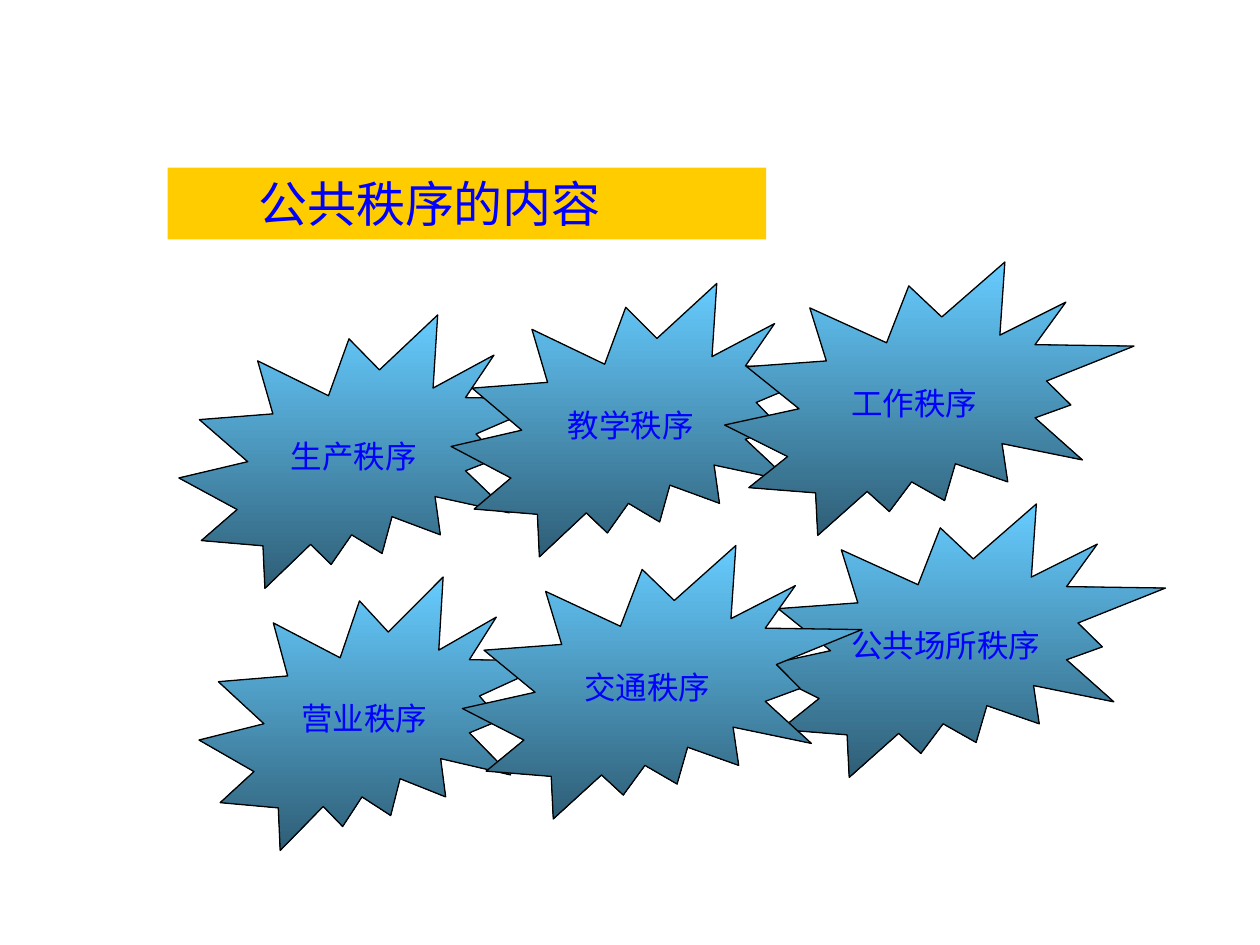
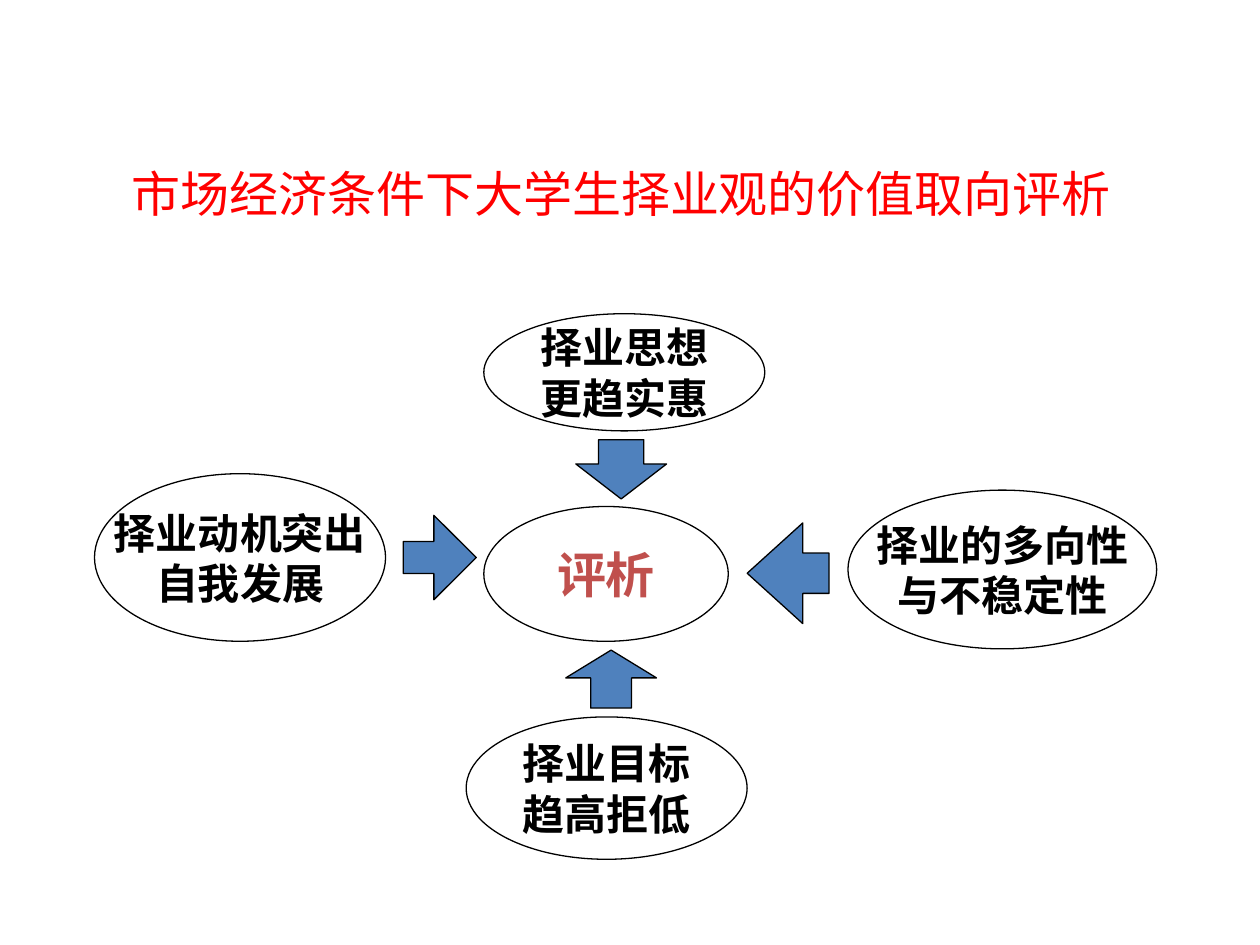
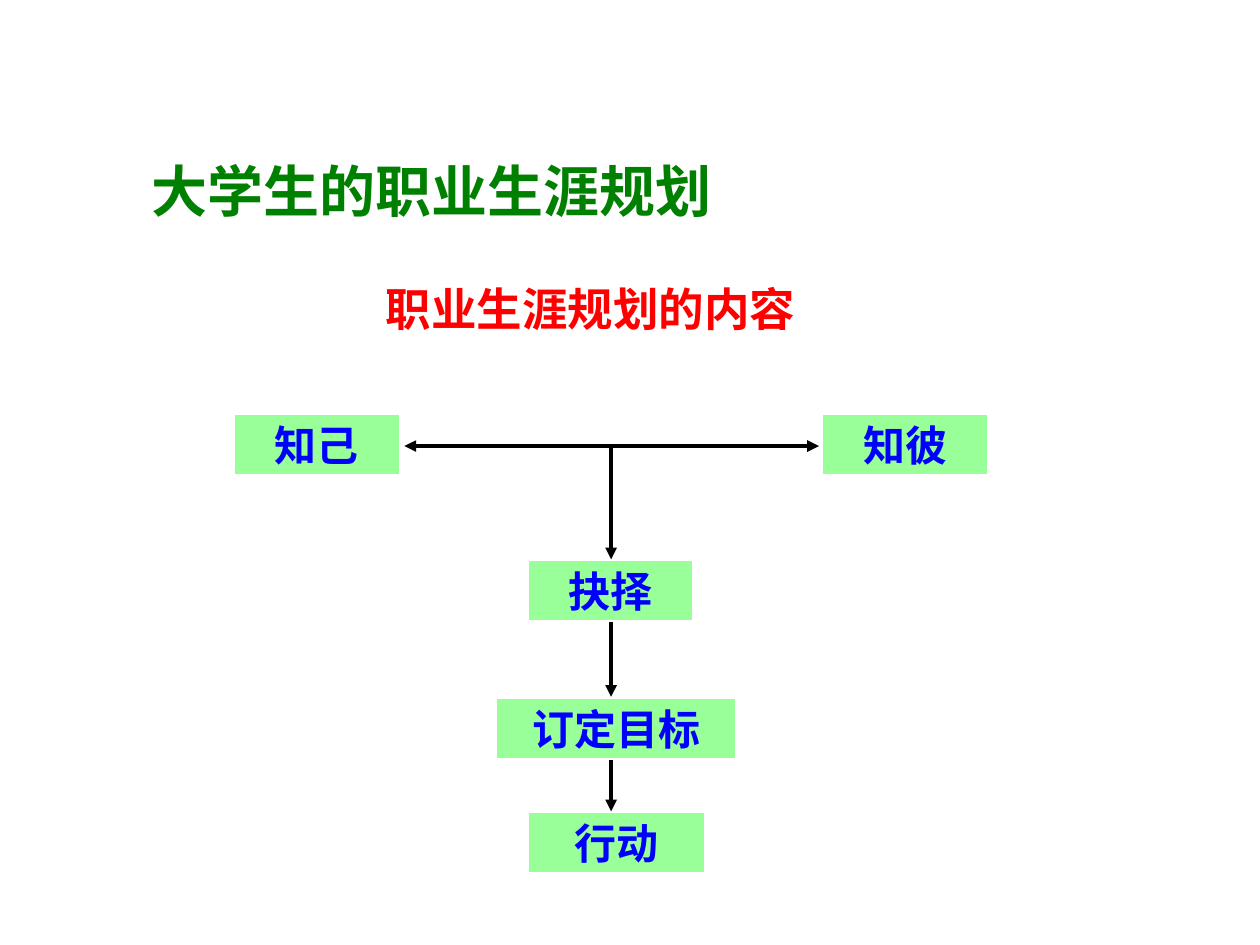
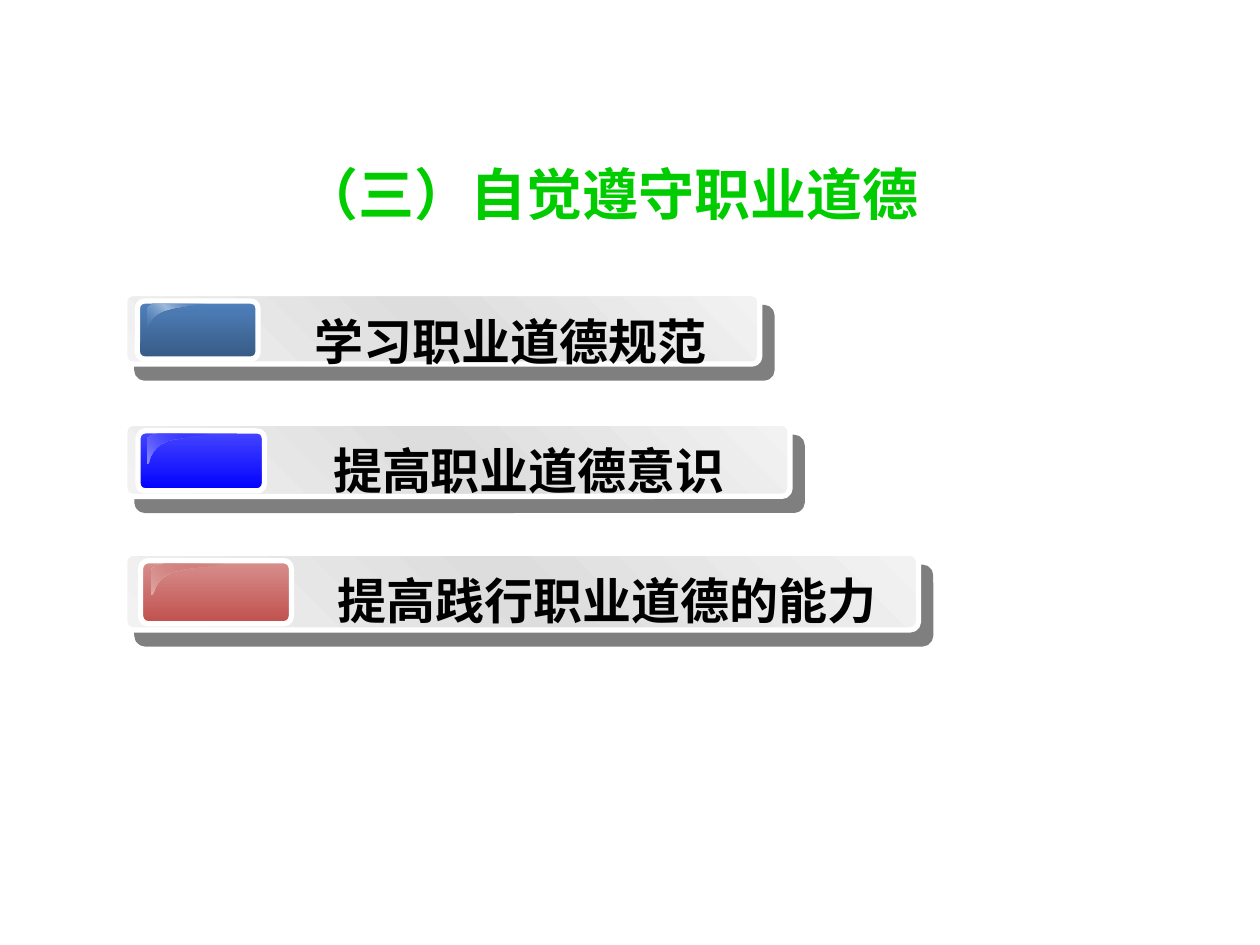
from pptx import Presentation
from pptx.dml.color import RGBColor
from pptx.enum.shapes import MSO_CONNECTOR, MSO_SHAPE
from pptx.enum.text import MSO_ANCHOR, MSO_AUTO_SIZE, PP_ALIGN
from pptx.oxml.ns import qn
from pptx.oxml.xmlchemy import OxmlElement
from pptx.util import Inches, Pt

SEAL, OVAL, RECT = MSO_SHAPE.EXPLOSION2, MSO_SHAPE.OVAL, MSO_SHAPE.RECTANGLE
NODE, ROUNDED = MSO_SHAPE.FLOWCHART_CONNECTOR, MSO_SHAPE.ROUNDED_RECTANGLE
DOWN, UP = MSO_SHAPE.DOWN_ARROW, MSO_SHAPE.UP_ARROW
RIGHT, LEFT = MSO_SHAPE.RIGHT_ARROW, MSO_SHAPE.LEFT_ARROW
STRAIGHT = MSO_CONNECTOR.STRAIGHT
TOP, MIDDLE = MSO_ANCHOR.TOP, MSO_ANCHOR.MIDDLE
AL_LEFT, AL_CENTER = PP_ALIGN.LEFT, PP_ALIGN.CENTER

BLACK, WHITE = RGBColor(0, 0, 0), RGBColor(255, 255, 255)
BLUE, RED = RGBColor(0, 0, 255), RGBColor(255, 0, 0)
GOLD, MINT = RGBColor(0xFF, 0xCC, 0), RGBColor(0x99, 0xFF, 0x99)
GREEN, LIME = RGBColor(0, 0x80, 0), RGBColor(0, 0xCC, 0)
STEEL, BRICK = RGBColor(0x4F, 0x81, 0xBD), RGBColor(0xC0, 0x50, 0x4D)
NAVY, PALE_STEEL = RGBColor(0x37, 0x5A, 0x84), RGBColor(0x9F, 0xBA, 0xDB)
VIOLET, PALE_BLUE = RGBColor(0x46, 0x46, 0xFF), RGBColor(0x93, 0x93, 0xFF)
ROSE, PALE_ROSE = RGBColor(0xD7, 0x90, 0x8E), RGBColor(0xE0, 0xAA, 0xA8)
SKY, DEEP_SKY = RGBColor(0x66, 0xCC, 0xFF), RGBColor(0x2F, 0x5E, 0x76)
SILVER, GREY = RGBColor(0xF2, 0xF2, 0xF2), RGBColor(0xDD, 0xDD, 0xDD)
SANS, SERIF, CJK = "Arial", "Times New Roman", "Noto Sans CJK SC"

# Slide 1: text, left, top, width; listed from back to front
SEAL_HEIGHT = 2.17
ORDERS = [
    ("生产秩序", 1.42, 2.5, 3), ("教学秩序", 3.58, 2.25, 3.08),
    ("工作秩序", 5.75, 2.08, 3.25), ("公共场所秩序", 6, 4, 3.25),
    ("营业秩序", 1.58, 4.58, 2.83), ("交通秩序", 3.67, 4.33, 3.17),
]

# Slide 2: lines, box, font / arrow, box, adjustments
TRENDS = [
    ("择业动机突出\n自我发展", (0.75, 3.76, 2.31, 1.33), SANS),
    ("择业目标\n趋高拒低", (3.7, 5.69, 2.23, 1.13), CJK),
    ("择业思想\n更趋实惠", (3.84, 2.49, 2.23, 0.93), SANS),
    ("择业的多向性\n与不稳定性", (6.73, 3.89, 2.45, 1.26), SANS),
]
ARROWS = [
    (DOWN, (4.57, 3.49, 0.72, 0.47), (0.5, 0.59)),
    (RIGHT, (3.2, 4.09, 0.58, 0.67), (0.38, 0.58)),
    (UP, (4.49, 5.16, 0.72, 0.46), (0.45, 0.48)),
    (LEFT, (5.93, 4.15, 0.65, 0.8), (0.4, 0.68)),
]

# Slide 3: text, left, top, width; the last three form a chain
STEP_HEIGHT, AXIS_X, FORK_Y = 0.5, 4.85, 3.54
SIDES = [("知己", 1.85, 3.28, 1.33), ("知彼", 6.52, 3.28, 1.33)]
CHAIN = [("抉择", 4.18, 4.44, 1.33), ("订定目标", 3.93, 5.53, 1.92),
         ("行动", 4.18, 6.44, 1.42)]

# Slide 4: text, bar width, bar height, button colours, gloss stops
BAR_LEFT, BAR_TOP, BAR_PITCH = 0.99, 2.33, 1.03
DUTIES = [
    ("学习职业道德规范", 5.04, 0.56, (STEEL, NAVY),
     [(STEEL, 0), (PALE_STEEL, 100), (STEEL, 0)]),
    ("提高职业道德意识", 5.28, 0.58, (VIOLET, BLUE),
     [(PALE_BLUE, 100), (BLUE, 0)]),
    ("提高践行职业道德的能力", 6.3, 0.61, (ROSE, BRICK),
     [(PALE_ROSE, 100), (BRICK, 0)]),
]
# Gloss outline in shares of its box: start, then cubic curves
GLOSS_START = (0.19, 0)
GLOSS_CURVES = [
    [(0.08, 0), (0, 0.09), (0, 0.22)],
    [(0, 0.48), (0, 0.74), (0, 1)],
    [(0.04, 1), (0.02, 0.52), (0.27, 0.3)],
    [(0.52, 0.09), (1, 0.09), (1, 0)],
]


def inches(box):
    return [Inches(v) for v in box]


def add_child(parent, tag, **attrs):
    child = OxmlElement(tag)
    for name, value in attrs.items():
        child.set(name, str(value))
    parent.append(child)
    return child


def set_gradient(sp, stops, angle):
    """Fill with evenly spaced (colour, opacity %) stops; angle is clockwise."""
    sp.fill.gradient()
    grad = sp.element.spPr.find(qn("a:gradFill"))
    for child in list(grad):
        grad.remove(child)
    gs_list = add_child(grad, "a:gsLst")
    for i, (color, opacity) in enumerate(stops):
        gs = add_child(gs_list, "a:gs", pos=100000 * i // (len(stops) - 1))
        clr = add_child(gs, "a:srgbClr", val=color)
        if opacity < 100:
            add_child(clr, "a:alpha", val=opacity * 1000)
    add_child(grad, "a:lin", ang=angle * 60000, scaled=0)


def set_line(sp, color, width):
    if color is None:
        sp.line.fill.background()
    else:
        sp.line.color.rgb = color
        sp.line.width = Pt(width)


def add_shape(s, kind, box, fill=None, line=BLACK, width=0.75, adj=()):
    sp = s.shapes.add_shape(kind, *inches(box))
    sp.shadow.inherit = False
    if fill is not None:
        sp.fill.solid()
        sp.fill.fore_color.rgb = fill
    set_line(sp, line, width)
    for i, value in enumerate(adj):
        sp.adjustments[i] = value
    return sp


def set_text(sp, text, size, color, bold=False, font=SANS, align=AL_CENTER,
             anchor=MIDDLE, wrap=False, indent=0.1):
    tf = sp.text_frame
    tf.text = text
    tf.word_wrap = wrap
    tf.auto_size = MSO_AUTO_SIZE.NONE
    tf.vertical_anchor = anchor
    tf.margin_left = Inches(indent)
    for p in tf.paragraphs:
        p.alignment = align
        for r in p.runs:
            r.font.size, r.font.bold, r.font.name = Pt(size), bold, font
            r.font.color.rgb = color


def add_label(s, box, text, size, color, **style):
    tb = s.shapes.add_textbox(*inches(box))
    set_text(tb, text, size, color, bold=True, anchor=TOP, wrap=True, **style)


def add_slide(prs, title, box, size, color, **style):
    s = prs.slides.add_slide(prs.slide_layouts[5])
    sp = s.shapes.title
    sp.left, sp.top, sp.width, sp.height = inches(box)
    set_text(sp, title, size, color, wrap=True, **style)
    return s


def add_arrow(s, x1, y1, x2, y2, both=False):
    cn = s.shapes.add_connector(STRAIGHT, *inches((x1, y1, x2, y2)))
    set_line(cn, BLACK, 2.25)
    ln = cn.element.spPr.find(qn("a:ln"))
    if both:
        add_child(ln, "a:headEnd", type="triangle")
    add_child(ln, "a:tailEnd", type="triangle")
    add_child(cn.element.spPr, "a:effectLst")


def add_gloss(s, left, top, width, height, stops, steps=8):
    points, start = [], GLOSS_START
    for c1, c2, end in GLOSS_CURVES:
        for i in range(1, steps + 1):
            t = i / steps
            u = 1 - t
            points.append([u**3 * a + 3 * u * u * t * b + 3 * u * t * t * c + t**3 * d
                           for a, b, c, d in zip(start, c1, c2, end)])
        start = end
    place = [(Inches(left + x * width), Inches(top + y * height))
             for x, y in [GLOSS_START] + points]
    builder = s.shapes.build_freeform(*place[0])
    builder.add_line_segments(place[1:], close=True)
    sp = builder.convert_to_shape()
    sp.shadow.inherit = False
    set_gradient(sp, stops, 315)
    set_line(sp, None, 0)


def add_drop_shadow(sp):
    effects = sp.element.spPr.find(qn("a:effectLst"))
    shadow = add_child(effects, "a:outerShdw", blurRad=0, dist=Pt(10.6),
                       dir=49 * 60000, algn="ctr", rotWithShape=0)
    clr = add_child(shadow, "a:srgbClr", val=BLACK)
    add_child(clr, "a:alpha", val=50000)


def public_order(prs):
    s = add_slide(prs, "公共秩序的内容", (1.33, 1.33, 4.75, 0.57), 28, BLUE,
                  align=AL_LEFT, anchor=TOP, indent=0.72)
    s.shapes.title.fill.solid()
    s.shapes.title.fill.fore_color.rgb = GOLD
    for text, left, top, width in ORDERS:
        sp = add_shape(s, SEAL, (left, top, width, SEAL_HEIGHT))
        set_gradient(sp, [(SKY, 100), (DEEP_SKY, 100)], 90)
        set_text(sp, text, 18, BLUE)


def job_values(prs):
    s = add_slide(prs, "市场经济条件下大学生择业观的价值取向评析",
                  (0.43, 1.07, 9, 0.92), 28, RED)
    hub = add_shape(s, OVAL, (3.84, 4.02, 1.94, 1.07), WHITE)
    set_text(hub, "评析", 28, BRICK, bold=True)
    for text, box, font in TRENDS:
        sp = add_shape(s, NODE, box, WHITE)
        set_text(sp, text, 24, BLACK, bold=True, font=font)
    for kind, box, adj in ARROWS:
        add_shape(s, kind, box, STEEL, adj=adj)


def career_plan(prs):
    s = add_slide(prs, "大学生的职业生涯规划", (0.27, 1.15, 6.31, 0.71), 32,
                  GREEN, bold=True)
    add_label(s, (2.64, 2.18, 4.5, 0.66), "职业生涯规划的内容", 26, RED,
              align=AL_LEFT, indent=0.42)
    for text, left, top, width in SIDES + CHAIN:
        sp = add_shape(s, RECT, (left, top, width, STEP_HEIGHT), MINT, WHITE, 2.25)
        set_text(sp, text, 24, BLUE, bold=True, font=SERIF)
    add_arrow(s, 3.21, FORK_Y, 6.5, FORK_Y, both=True)
    start = FORK_Y
    for _, _, top, _ in CHAIN:
        add_arrow(s, AXIS_X, start, AXIS_X, top)
        start = top + STEP_HEIGHT


def work_ethics(prs):
    s = add_slide(prs, "（三）自觉遵守职业道德", (0.83, 0.91, 8.03, 1.25), 32,
                  LIME, bold=True)
    for i, (text, width, height, button_colors, gloss) in enumerate(DUTIES):
        left, top = BAR_LEFT, BAR_TOP + i * BAR_PITCH
        bar = add_shape(s, ROUNDED, (left, top, width, height),
                        line=WHITE, width=3, adj=[0.11])
        set_gradient(bar, [(SILVER, 100), (GREY, 100), (SILVER, 100)], 315)
        add_drop_shadow(bar)
        button = add_shape(s, ROUNDED,
                           (left + 0.02 * width, top + 0.06, 0.19 * width, 0.82 * height),
                           line=WHITE, width=3, adj=[0.12])
        set_gradient(button, [(c, 100) for c in button_colors], 90)
        add_gloss(s, left + 0.034 * width, top + 0.08, 0.095 * width, 0.41 * height, gloss)
        add_label(s, (left + 0.24 * width, top + 0.09, 0.735 * width, 0.57),
                  text, 28, BLACK)


def main():
    prs = Presentation()
    prs.slide_width, prs.slide_height = Inches(10), Inches(7.5)
    for build in (public_order, job_values, career_plan, work_ethics):
        build(prs)
    prs.save("out.pptx")


if __name__ == "__main__":
    main()
